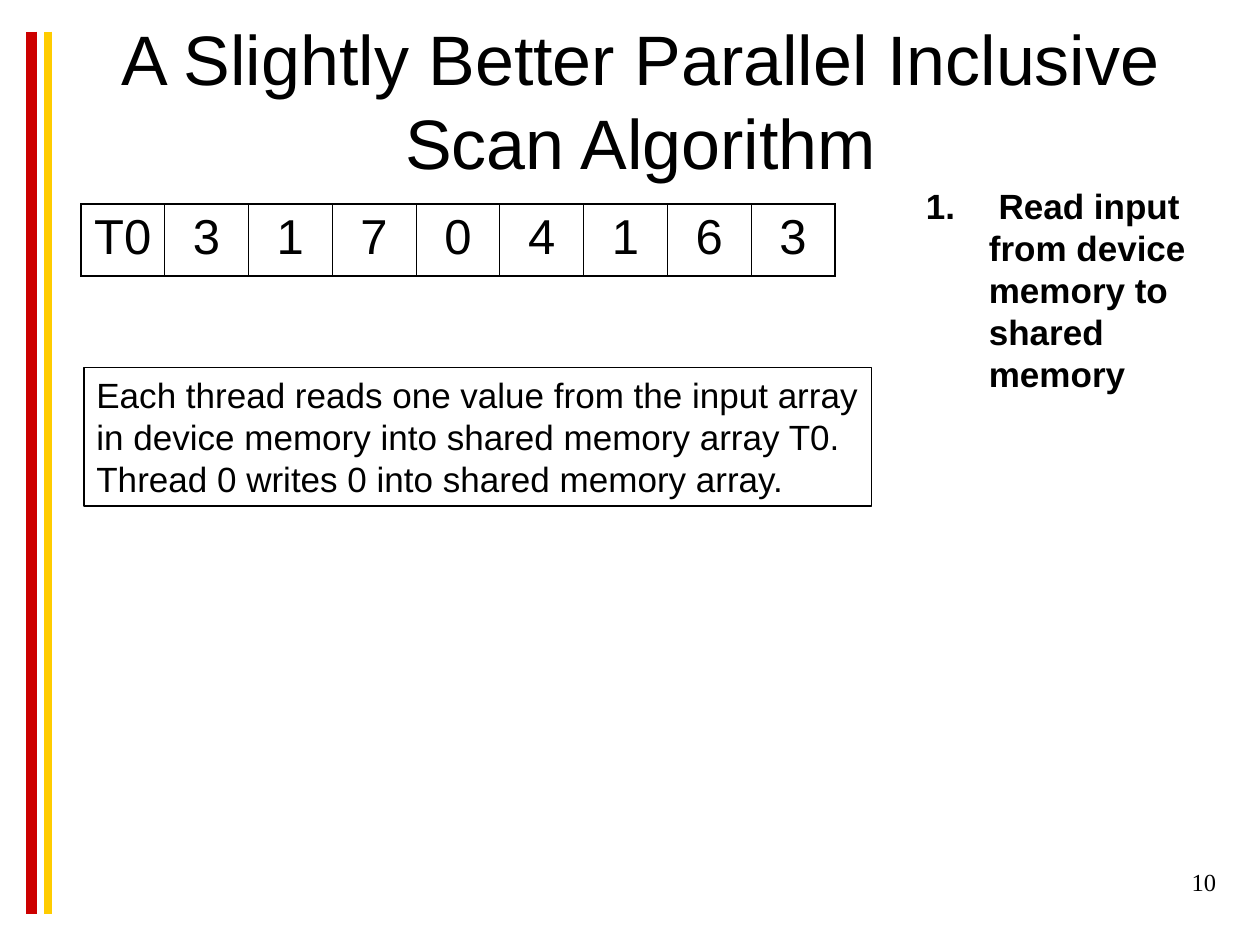
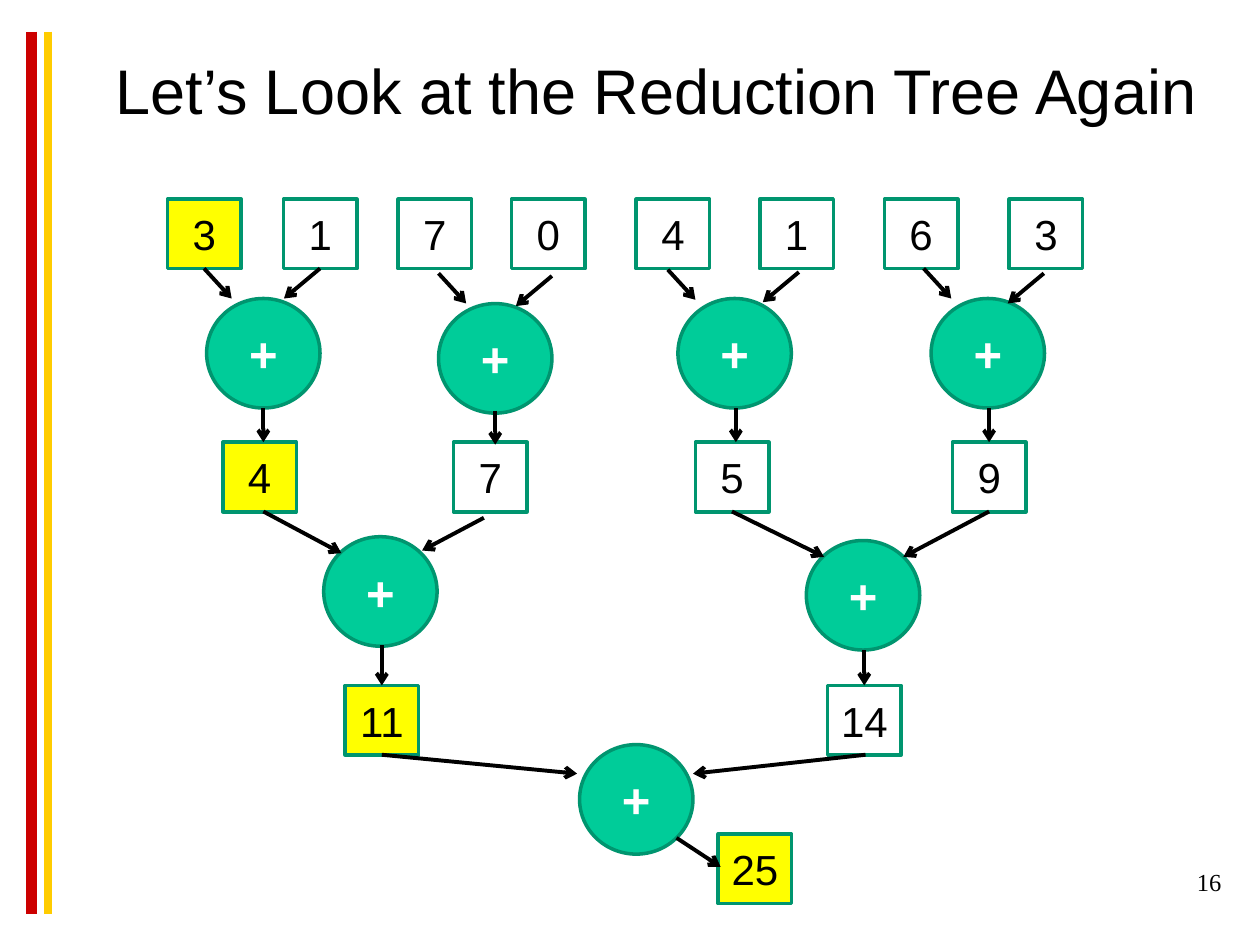
from lxml import etree
from pptx import Presentation
from pptx.dml.color import RGBColor
from pptx.enum.shapes import MSO_CONNECTOR, MSO_SHAPE
from pptx.enum.text import MSO_ANCHOR as ANCHOR, PP_ALIGN as ALIGN
from pptx.oxml.ns import qn
from pptx.util import Pt

COLORS = {
    "ink": "000000", "white": "FFFFFF", "red": "CC0000", "gold": "FFCC00",
    "marked": "FFFF00", "node": "00CC99", "edge": "00956F",
}
VALUES = ["3", "1", "7", "0", "4", "1", "6", "3"]
BOX_W, BOX_H = 42, 39.8
NODE_W, NODE_H = 64.8, 62.6

# Rows of value boxes: top, then (left, value); the first box of a row is marked
BOX_ROWS = [
    (113.8, list(zip([95.8, 162, 227.5, 292.3, 363.6, 434.2, 505.4, 576.7],
                     VALUES))),
    (252.7, [(127.4, "4"), (259.2, "7"), (397.4, "5"), (544.3, "9")]),
    (391.7, [(197.3, "11"), (473, "14")]),
    (476.6, [(410.4, "25")]),
]
# Left and top of each plus node
NODES = [(118.1, 170.6), (250.6, 173.5), (387.4, 170.6), (532.1, 170.6),
         (185, 306.7), (460.8, 308.9), (331.2, 425.5)]
# Arrows of the first level share one step (dx, dy) per direction
FIRST_LEVEL_ARROWS = [
    ((15.8, 17.2), [(116.6, 153.4), (250.6, 156.2), (381.6, 154.1), (527.8, 153.4)]),
    ((-20.6, 17.2), [(182.9, 153.4), (315.4, 157.7), (456.5, 155.5), (596.5, 156.2)]),
    ((0, 19.4), [(150.5, 233.3), (283, 234.7), (420.5, 233.3), (565.2, 233.3)]),
]
# Start and end of the arrows below
LOWER_ARROWS = [
    (150.5, 292.3, 195.1, 316.1), (276.5, 295.9, 241.2, 314.6),
    (418.3, 292.3, 470.9, 318.2), (565.2, 292.3, 516.2, 318.2),
    (218.2, 368.6, 218.2, 391.7), (493.9, 371.5, 493.9, 391.7),
    (218.2, 431.3, 329.8, 442.1), (494.6, 431.3, 396, 442.1),
    (386.6, 478.8, 411.8, 495.4),
]


def rgb(name):
    """Return the named colour."""
    return RGBColor.from_string(COLORS[name])


def sub(parent, tag, **attrs):
    """Append an XML child with attributes and return it."""
    return etree.SubElement(parent, qn(tag), attrs)


def write(tf, text, size, color="ink", bold=False, align=ALIGN.LEFT,
          anchor=ANCHOR.TOP, font="Arial"):
    """Put one styled paragraph in a text frame and return it."""
    tf.word_wrap = True
    tf.vertical_anchor = anchor
    p = tf.paragraphs[0]
    p.text = text
    p.alignment = align
    p.font.name = font
    p.font.size = Pt(size)
    p.font.bold = bold
    p.font.color.rgb = rgb(color)
    return p


def add_text(s, x, y, w, h, text, size, **style):
    """Add a text box and return its paragraph."""
    sp = s.shapes.add_textbox(Pt(x), Pt(y), Pt(w), Pt(h))
    return write(sp.text_frame, text, size, **style)


def add_box(s, kind, x, y, w, h, text, size, fill=None, line="edge",
            weight=2, **style):
    """Add an outlined shape with text."""
    sp = s.shapes.add_shape(kind, Pt(x), Pt(y), Pt(w), Pt(h))
    sp.shadow.inherit = False
    if fill:
        sp.fill.solid()
        sp.fill.fore_color.rgb = rgb(fill)
    else:
        sp.fill.background()
    sp.line.color.rgb = rgb(line)
    sp.line.width = Pt(weight)
    write(sp.text_frame, text, size, **style)


def add_line(s, x1, y1, x2, y2, color="ink", weight=2.25, arrow=False):
    """Add a straight line, with an open arrowhead at its end if asked."""
    c = s.shapes.add_connector(MSO_CONNECTOR.STRAIGHT,
                               Pt(x1), Pt(y1), Pt(x2), Pt(y2))
    c.line.color.rgb = rgb(color)
    c.line.width = Pt(weight)
    if arrow:
        sub(c.line._get_or_add_ln(), "a:tailEnd", type="arrow")
    sub(c._element.spPr, "a:effectLst")


def set_border(cell, side, weight):
    """Draw one cell border; side is L, R, T or B."""
    ln = sub(cell._tc.get_or_add_tcPr(), f"a:ln{side}", w=str(Pt(weight)))
    sub(sub(ln, "a:solidFill"), "a:srgbClr", val=COLORS["ink"])


def add_value_row(s, x, y, col_w, h, values):
    """Add a one-row table with a heavier outer border."""
    n = len(values)
    frame = s.shapes.add_table(1, n, Pt(x), Pt(y), Pt(col_w * n), Pt(h))
    table = frame.table
    table.first_row = table.horz_banding = False
    for i, value in enumerate(values):
        table.columns[i].width = Pt(col_w)
        cell = table.cell(0, i)
        p = write(cell.text_frame, value, 28, align=ALIGN.CENTER)
        p.space_before = Pt(7)
        set_border(cell, "L", 1.08 if i == 0 else 0.45)
        set_border(cell, "R", 1.08 if i == n - 1 else 0.45)
        set_border(cell, "T", 1.08)
        set_border(cell, "B", 1.08)
        cell.fill.background()


def number_paragraph(p, indent):
    """Give a paragraph a hanging automatic number."""
    pPr = p._p.get_or_add_pPr()
    pPr.set("marL", str(Pt(indent)))
    pPr.set("indent", str(-Pt(indent)))
    number = etree.Element(qn("a:buAutoNum"), type="arabicPeriod")
    pPr.find(qn("a:defRPr")).addprevious(number)


def add_slide(prs, title, title_at, size, page, page_x):
    """Add a slide with the side bands, title and page number."""
    s = prs.slides.add_slide(prs.slide_layouts[6])
    add_line(s, 18, 18, 18, 522, "red", 6)
    add_line(s, 27.2, 18, 27.2, 522, "gold", 4.5)
    add_text(s, *title_at, title, size, align=ALIGN.CENTER, anchor=ANCHOR.MIDDLE)
    add_text(s, page_x, 492, 150, 36, page, 14, align=ALIGN.RIGHT,
             font="Times New Roman")
    return s


def build_scan(prs):
    """Build the slide on the first step of the scan."""
    s = add_slide(prs, "A Slightly Better Parallel Inclusive Scan Algorithm",
                  (12, 12, 708, 90), 40, "10", 552)
    add_value_row(s, 46.2, 116.6, 47.9, 41, ["T0"] + VALUES)
    add_box(s, MSO_SHAPE.RECTANGLE, 48, 210, 450, 79.2,
            "Each thread reads one value from the input array in device memory "
            "into shared memory array T0. Thread 0 writes 0 into shared memory "
            "array.", 20, line="ink", weight=0.75)
    p = add_text(s, 522, 102, 174, 127.4,
                 " Read input from device memory to shared memory", 20, bold=True)
    p.space_before = Pt(12.5)
    number_paragraph(p, 36)


def build_tree(prs):
    """Build the slide with the reduction tree."""
    s = add_slide(prs, "Let’s Look at the Reduction Tree Again",
                  (36, 18, 678, 66), 36, "16", 555)
    centred = {"align": ALIGN.CENTER, "anchor": ANCHOR.MIDDLE}
    for y, row in BOX_ROWS:
        for i, (x, value) in enumerate(row):
            add_box(s, MSO_SHAPE.RECTANGLE, x, y, BOX_W, BOX_H, value, 24,
                    fill="marked" if i == 0 else None, **centred)
    for x, y in NODES:
        add_box(s, MSO_SHAPE.OVAL, x, y, NODE_W, NODE_H, "+", 28,
                fill="node", color="white", bold=True, **centred)
    for (dx, dy), starts in FIRST_LEVEL_ARROWS:
        for x, y in starts:
            add_line(s, x, y, x + dx, y + dy, arrow=True)
    for ends in LOWER_ARROWS:
        add_line(s, *ends, arrow=True)


def main():
    """Build and save the presentation."""
    prs = Presentation()
    prs.slide_width, prs.slide_height = Pt(720), Pt(540)
    build_scan(prs)
    build_tree(prs)
    prs.save("out.pptx")


main()
